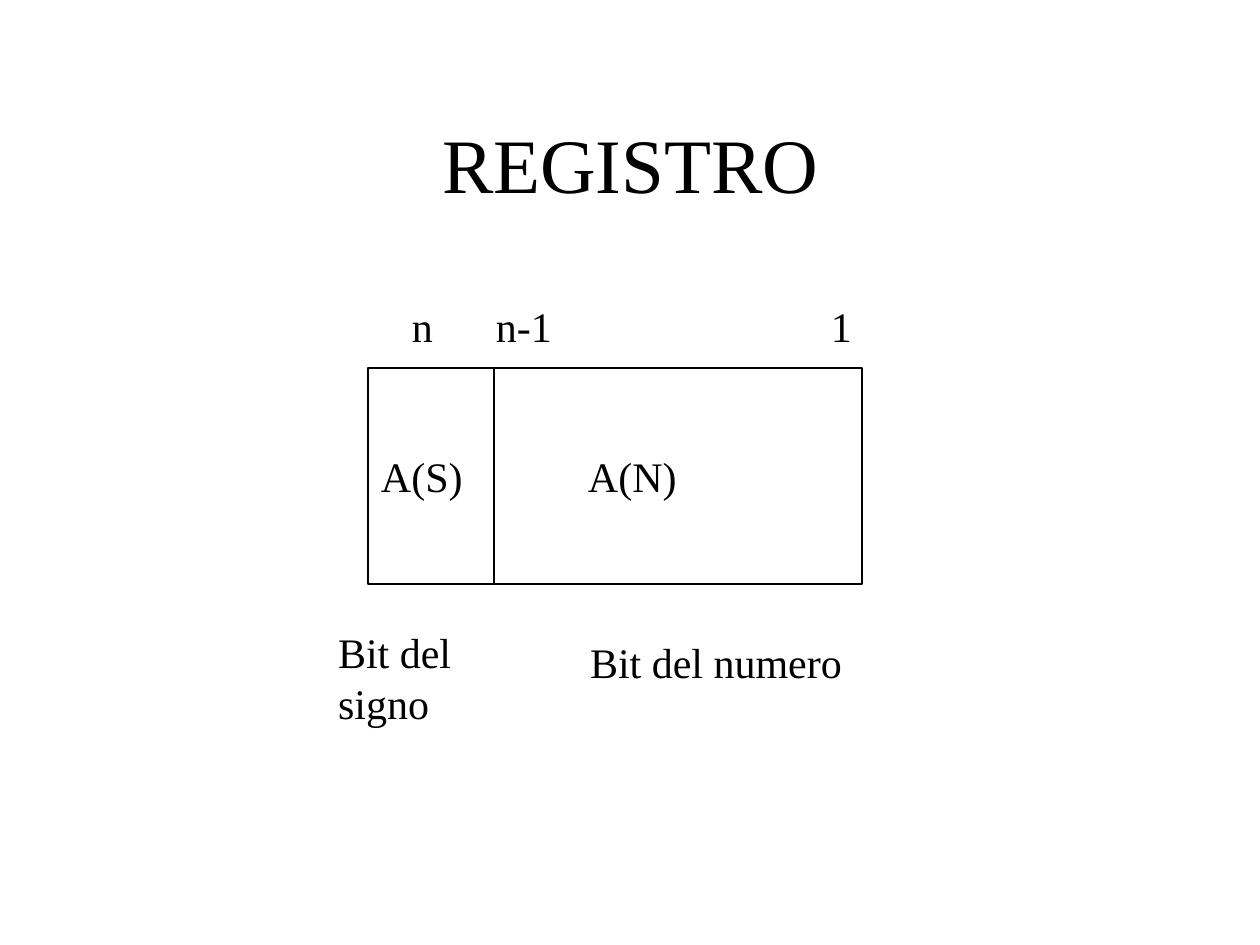
from dataclasses import dataclass

import pptx
import pptx.dml.color
import pptx.enum.shapes
import pptx.enum.text
import pptx.util

EMU_PER_PX = 914400 / 126
TITLE_ONLY = 5


@dataclass(frozen=True)
class Theme:
    font: str = "Times New Roman"
    ink: pptx.dml.color.RGBColor = pptx.dml.color.RGBColor(0, 0, 0)
    title_size: int = 44
    body_size: int = 24
    leading: int = 29
    line_width: float = 0.75


@dataclass(frozen=True)
class Box:
    text: str
    left: int
    top: int
    width: int
    height: int
    indent: int = 13


THEME = Theme()
TITLE = Box("REGISTRO", 95, 84, 1071, 158)
CELLS = [
    Box("A(S)", 368, 368, 126, 216),
    Box("A(N)", 494, 368, 368, 216, indent=94),
]
LABELS = [
    Box("n", 399, 294, 74, 63),
    Box("n-1", 483, 294, 100, 63),
    Box("1", 818, 294, 64, 63),
    Box("Bit del signo", 325, 620, 168, 113),
    Box("Bit del numero", 577, 630, 347, 63),
]


def px(n: int) -> int:
    return round(n * EMU_PER_PX)


def frame(box: Box) -> tuple[int, int, int, int]:
    return px(box.left), px(box.top), px(box.width), px(box.height)


def write(sp, box: Box, size: int, align, anchor) -> None:
    tf = sp.text_frame
    tf.text = box.text
    tf.word_wrap = True
    tf.auto_size = pptx.enum.text.MSO_AUTO_SIZE.NONE
    tf.vertical_anchor = anchor
    tf.margin_left, tf.margin_right = px(box.indent), px(13)
    tf.margin_top = tf.margin_bottom = px(6)
    p = tf.paragraphs[0]
    p.alignment = align
    font = p.runs[0].font
    font.name = THEME.font
    font.size = pptx.util.Pt(size)
    font.color.rgb = THEME.ink


def write_body(sp, box: Box, anchor) -> None:
    write(sp, box, THEME.body_size, pptx.enum.text.PP_ALIGN.LEFT, anchor)
    sp.text_frame.paragraphs[0].line_spacing = pptx.util.Pt(THEME.leading)


def add_title(s, box: Box) -> None:
    sp = s.shapes.title
    sp.left, sp.top, sp.width, sp.height = frame(box)
    write(sp, box, THEME.title_size, pptx.enum.text.PP_ALIGN.CENTER,
          pptx.enum.text.MSO_ANCHOR.MIDDLE)


def add_cell(s, box: Box) -> None:
    sp = s.shapes.add_shape(pptx.enum.shapes.MSO_SHAPE.RECTANGLE, *frame(box))
    sp.shadow.inherit = False
    sp.fill.background()
    sp.line.color.rgb = THEME.ink
    sp.line.width = pptx.util.Pt(THEME.line_width)
    write_body(sp, box, pptx.enum.text.MSO_ANCHOR.MIDDLE)


def add_label(s, box: Box) -> None:
    sp = s.shapes.add_textbox(*frame(box))
    write_body(sp, box, pptx.enum.text.MSO_ANCHOR.TOP)


def main() -> None:
    prs = pptx.Presentation()
    prs.slide_width, prs.slide_height = px(1260), px(945)
    s = prs.slides.add_slide(prs.slide_layouts[TITLE_ONLY])
    add_title(s, TITLE)
    for cell in CELLS:
        add_cell(s, cell)
    for label in LABELS:
        add_label(s, label)
    prs.save("out.pptx")


if __name__ == "__main__":
    main()
